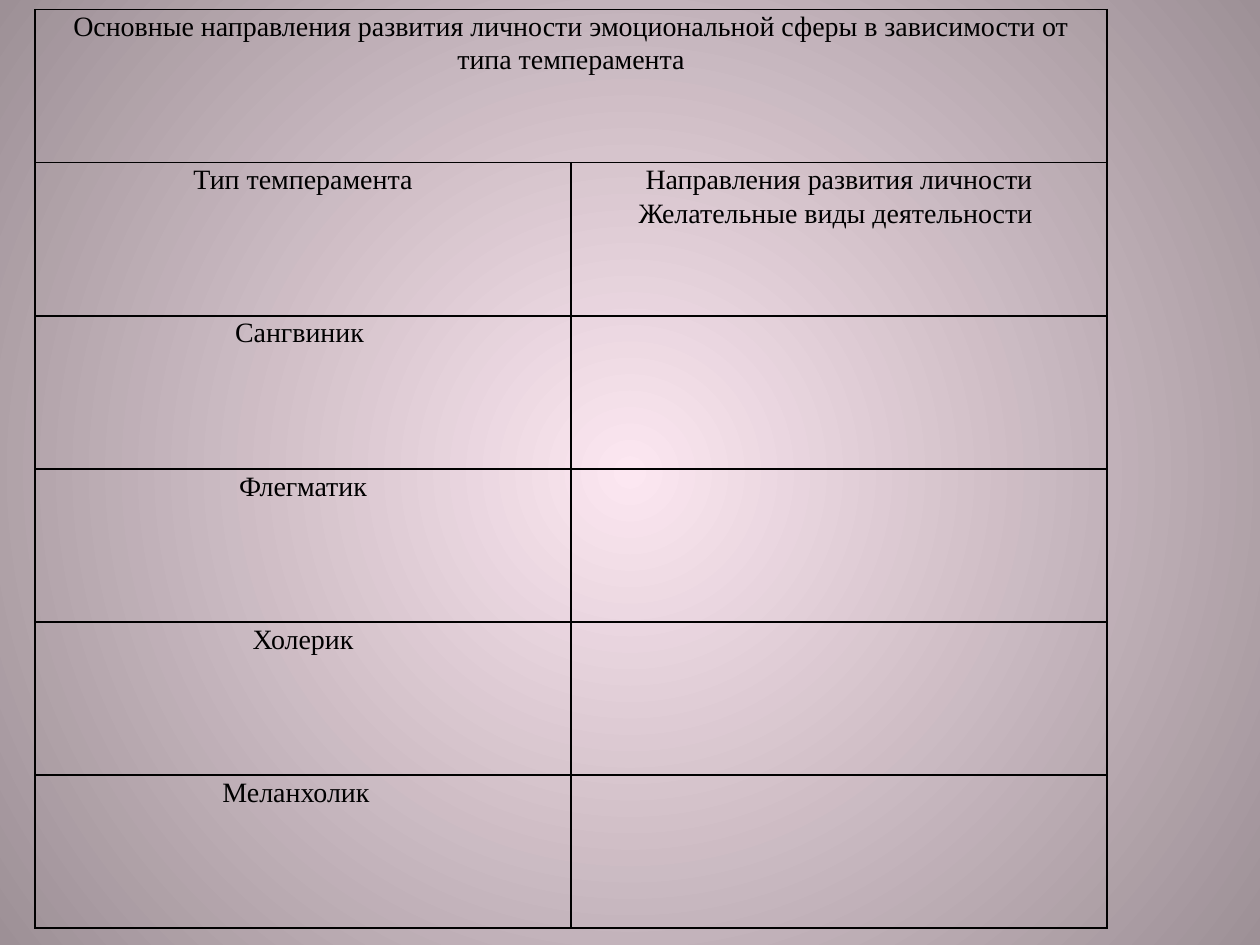
from lxml.etree import SubElement
from pptx import Presentation
from pptx.dml.color import RGBColor
from pptx.enum.text import PP_ALIGN
from pptx.oxml.ns import qn
from pptx.util import Pt

# Content
HEADING = ("Основные направления развития личности эмоциональной сферы "
           "в зависимости от типа темперамента")
ROWS = [
    (HEADING, ""),
    ("Тип темперамента",
     "Направления развития личности Желательные виды деятельности "),
    ("Сангвиник ", ""),
    ("Флегматик", ""),
    ("Холерик", ""),
    ("Меланхолик  ", ""),
]

# Style
FONT = "Times New Roman"
BLACK = RGBColor(0x00, 0x00, 0x00)
CENTRE_PINK = RGBColor(0xFC, 0xE7, 0xF1)
EDGE_MAUVE = RGBColor(0x9D, 0x90, 0x96)
LEFT, TOP = Pt(20), Pt(5.5)
COLUMN_WIDTH, ROW_HEIGHT = Pt(306.3), Pt(87.48)


def set_radial_background(slide):
    fill = slide.background.fill
    fill.gradient()
    for stop, color in zip(fill.gradient_stops, (CENTRE_PINK, EDGE_MAUVE)):
        stop.color.rgb = color
    gradient = slide.element.find(".//" + qn("a:gradFill"))
    gradient.remove(gradient.find(qn("a:lin")))
    shade = SubElement(gradient, qn("a:path"), path="circle")
    SubElement(shade, qn("a:fillToRect"),
               {side: "50000" for side in "ltrb"})


def set_borders(cell):
    properties = cell._tc.get_or_add_tcPr()
    for position, side in enumerate(("lnL", "lnR", "lnT", "lnB")):
        line = SubElement(properties, qn("a:" + side), w=str(Pt(1)))
        fill = SubElement(line, qn("a:solidFill"))
        SubElement(fill, qn("a:srgbClr"), val=str(BLACK))
        properties.insert(position, line)


def fill_cell(cell, text):
    cell.fill.background()
    set_borders(cell)
    cell.margin_left = cell.margin_right = Pt(5)
    cell.margin_top = cell.margin_bottom = Pt(0)
    if not text:
        return
    paragraph = cell.text_frame.paragraphs[0]
    paragraph.alignment = PP_ALIGN.CENTER
    paragraph.line_spacing = 1.07
    run = paragraph.add_run()
    run.text = text
    run.font.name = FONT
    run.font.size = Pt(16)
    run.font.color.rgb = BLACK


# Slide
presentation = Presentation()
presentation.slide_width, presentation.slide_height = Pt(720), Pt(540)
slide = presentation.slides.add_slide(presentation.slide_layouts[6])
set_radial_background(slide)

# Temperament table
column_count = len(ROWS[0])
table = slide.shapes.add_table(
    len(ROWS), column_count, LEFT, TOP,
    COLUMN_WIDTH * column_count, ROW_HEIGHT * len(ROWS)).table
table.first_row = table.horz_banding = False
for column in table.columns:
    column.width = COLUMN_WIDTH
for row, texts in zip(table.rows, ROWS):
    row.height = ROW_HEIGHT
    for cell, text in zip(row.cells, texts):
        fill_cell(cell, text)
table.cell(0, 0).merge(table.cell(0, column_count - 1))

presentation.save("out.pptx")
